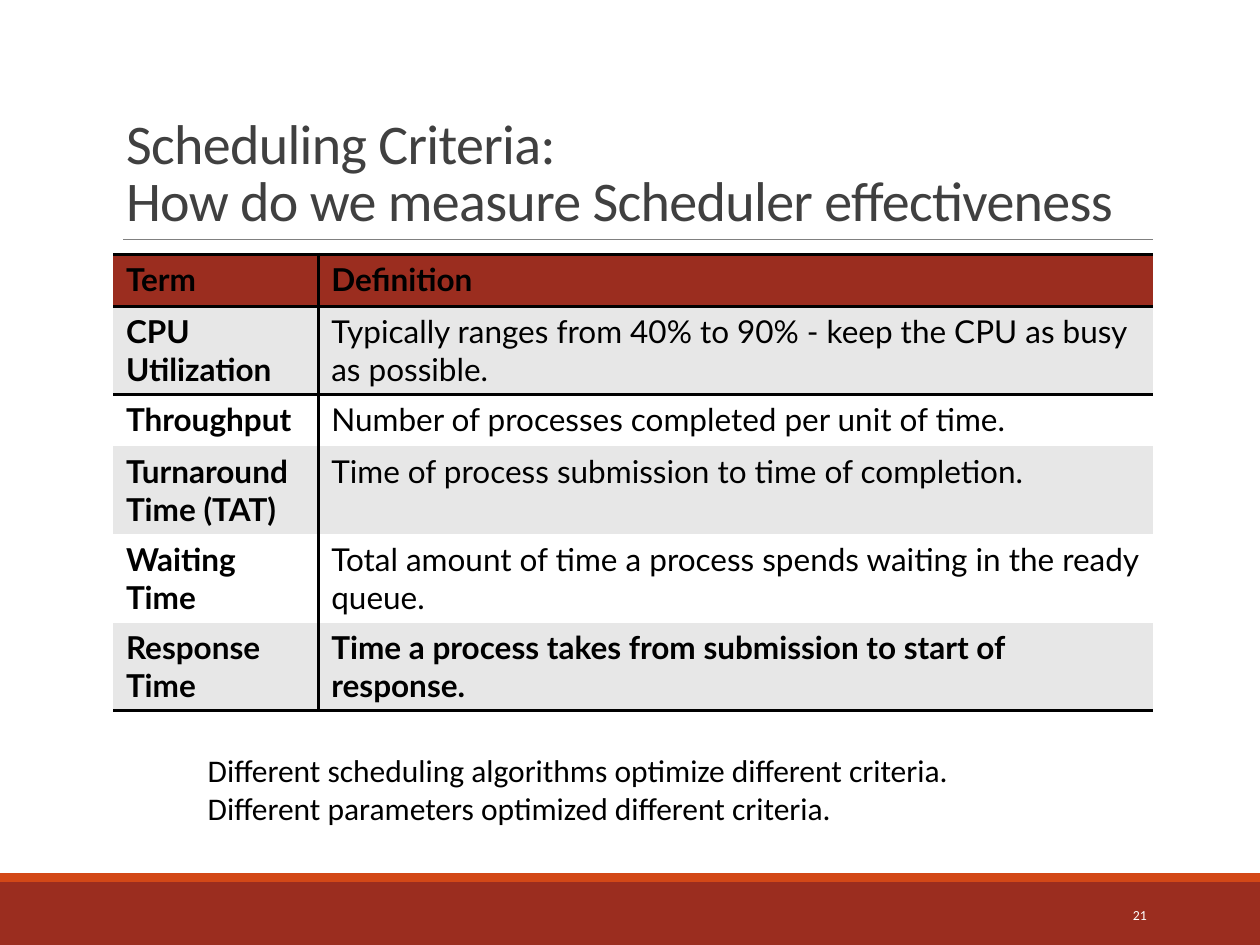
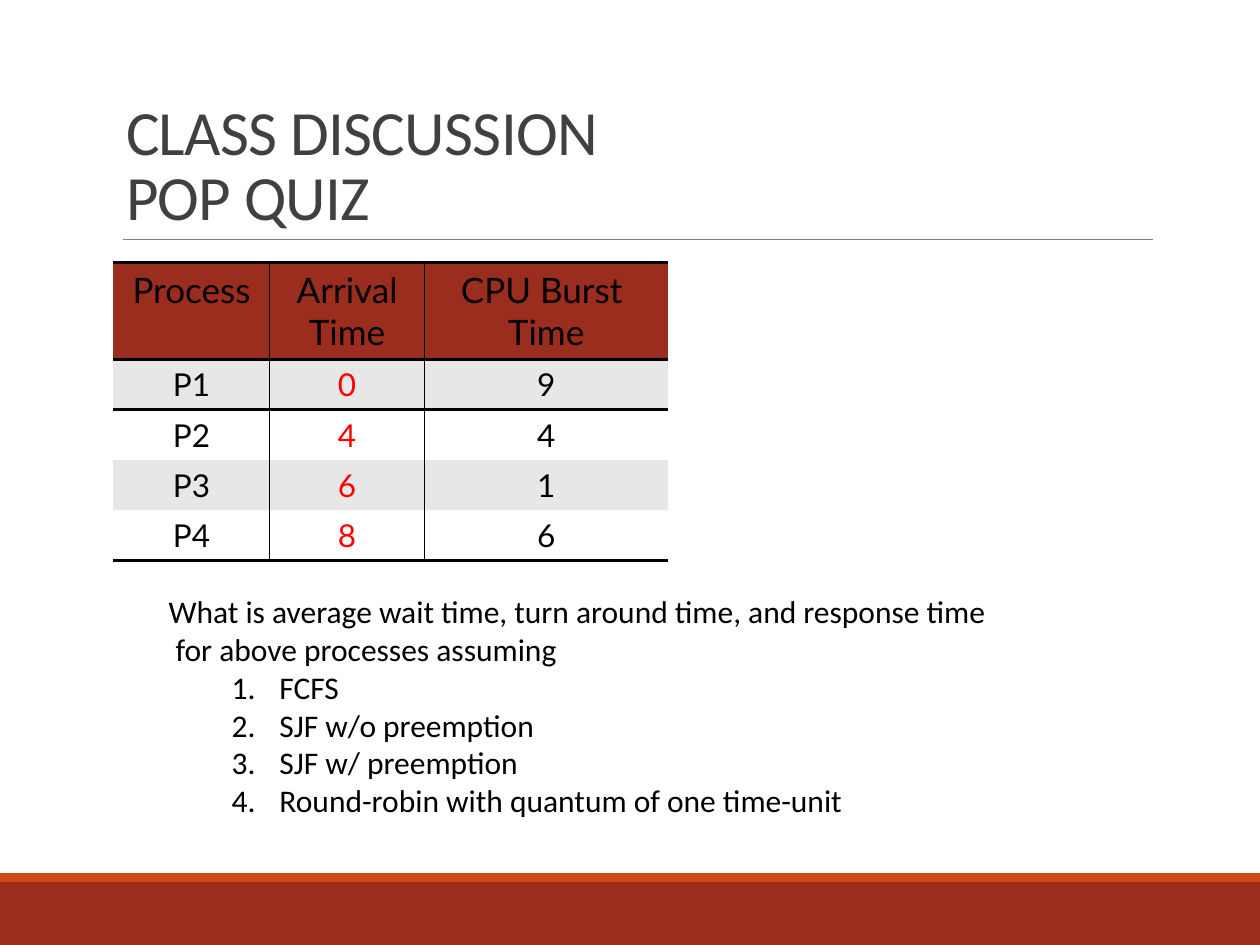
from lxml.etree import SubElement
from pptx import Presentation
from pptx.dml.color import RGBColor
from pptx.enum.shapes import MSO_CONNECTOR, MSO_SHAPE
from pptx.enum.text import MSO_ANCHOR, PP_ALIGN
from pptx.oxml.ns import qn
from pptx.util import Inches, Pt

COLORS = {
    "band": "9B2D1F", "accent": "D34817", "rule": "808080", "title": "404040",
    "text": "000000", "arrival": "FF0000", "stripe": "E7E7E7", "white": "FFFFFF",
}
BODY_FONT, TABLE_FONT = "Calibri", "Lato"
PLAIN_TABLE_STYLE = "{2D5ABB26-0587-4C30-8999-92F81FD0307C}"

CRITERIA_TITLE = "Scheduling Criteria:\vHow do we measure Scheduler effectiveness"
CRITERIA = [
    ("Term", "Definition"),
    ("CPU Utilization", "Typically ranges from 40% to 90% - keep the CPU as busy as possible."),
    ("Throughput", "Number of processes completed per unit of time."),
    ("Turnaround Time (TAT)", "Time of process submission to time of completion."),
    ("Waiting Time", "Total amount of time a process spends waiting in the ready queue."),
    ("Response Time", "Time a process takes from submission to start of response."),
]
CRITERIA_NOTES = [
    "Different scheduling algorithms optimize different criteria.",
    "Different parameters optimized different criteria.",
]
CRITERIA_PAGE = "21"

QUIZ_TITLE = "CLASS DISCUSSION\vPOP QUIZ"
PROCESSES = [
    ("Process", "Arrival\nTime", "CPU Burst \nTime"),
    ("P1", "0", "9"),
    ("P2", "4", "4"),
    ("P3", "6", "1"),
    ("P4", "8", "6"),
]
QUESTION = [
    "What is average wait time, turn around time, and response time",
    " for above processes assuming",
]
ALGORITHMS = [
    "FCFS",
    "SJF w/o preemption",
    "SJF w/ preemption",
    "Round-robin with quantum of one time-unit",
]


def rgb(name):
    return RGBColor.from_string(COLORS[name])


def write_text(frame, lines, size=18, font=BODY_FONT, color="text", bold=False,
               align=PP_ALIGN.LEFT, anchor=MSO_ANCHOR.TOP, line_spacing=None,
               tracking=None, numbered_from=None):
    frame.word_wrap = True
    frame.vertical_anchor = anchor
    for index, line in enumerate(lines):
        paragraph = frame.paragraphs[0] if index == 0 else frame.add_paragraph()
        paragraph.text = line
        paragraph.alignment = align
        paragraph.line_spacing = line_spacing
        for run in paragraph.runs:
            run.font.size = Pt(size)
            run.font.name = font
            run.font.bold = bold
            run.font.color.rgb = rgb(color)
            if tracking:
                run.font._element.set("spc", str(round(tracking * 100)))
        if numbered_from is not None and index >= numbered_from:
            paragraph.level = 1
            properties = paragraph._p.get_or_add_pPr()
            properties.set("marL", str(Inches(0.88)))
            properties.set("indent", str(Inches(-0.38)))
            SubElement(properties, qn("a:buFont"), typeface="+mj-lt")
            SubElement(properties, qn("a:buAutoNum"), type="arabicPeriod")


def add_text(slide, area, lines, **text_format):
    box = slide.shapes.add_textbox(*map(Inches, area))
    write_text(box.text_frame, lines, **text_format)


def add_band(slide, top, height, color):
    band = slide.shapes.add_shape(
        MSO_SHAPE.RECTANGLE, 0, Inches(top), Inches(10), Inches(height))
    band.shadow.inherit = False
    band.fill.solid()
    band.fill.fore_color.rgb = rgb(color)
    band.line.fill.background()


def add_titled_slide(deck, heading, size):
    slide = deck.slides.add_slide(deck.slide_layouts[5])
    add_band(slide, 7, 0.5, "band")
    add_band(slide, 6.93, 0.07, "accent")
    rule = slide.shapes.add_connector(
        MSO_CONNECTOR.STRAIGHT, Inches(0.98), Inches(1.9), Inches(9.15), Inches(1.9))
    rule.line.color.rgb = rgb("rule")
    rule.line.width = Pt(0.5)
    SubElement(rule._element.spPr, qn("a:effectLst"))
    title = slide.shapes.title
    title.left, title.top, title.width, title.height = map(Inches, (0.9, 0.31, 8.25, 1.59))
    write_text(title.text_frame, [heading], size=size, color="title",
               anchor=MSO_ANCHOR.BOTTOM, line_spacing=0.85, tracking=-0.4)
    return slide


def add_border(cell, side, width):
    line = SubElement(cell._tc.get_or_add_tcPr(), qn(f"a:ln{side}"), w=str(Pt(width)))
    fill = SubElement(line, qn("a:solidFill"))
    SubElement(fill, qn("a:srgbClr"), val=COLORS["text"])


def add_striped_table(slide, top, rows, widths, heights, divider, cell_format):
    frame = slide.shapes.add_table(
        len(rows), len(widths), Inches(0.9), Inches(top),
        Inches(sum(widths)), Inches(sum(heights)))
    table = frame.table
    table.horz_banding = False
    table._tbl.tblPr.find(qn("a:tableStyleId")).text = PLAIN_TABLE_STYLE
    for column, width in zip(table.columns, widths):
        column.width = Inches(width)
    for row, height in zip(table.rows, heights):
        row.height = Inches(height)
    last_row, last_column = len(rows) - 1, len(widths) - 1
    for r, values in enumerate(rows):
        for c, value in enumerate(values):
            cell = table.cell(r, c)
            borders = [
                ("L", divider, c > 0),
                ("R", divider, c < last_column),
                ("T", 2, r in (0, 1)),
                ("B", 2, r in (0, last_row)),
            ]
            for side, width, shown in borders:
                if shown:
                    add_border(cell, side, width)
            cell.fill.solid()
            cell.fill.fore_color.rgb = rgb("band" if r == 0 else "stripe" if r % 2 else "white")
            write_text(cell.text_frame, value.split("\n"), font=TABLE_FONT, **cell_format(r, c))


def criteria_format(row, column):
    return {"bold": column == 0 or row in (0, len(CRITERIA) - 1)}


def process_format(row, column):
    return {
        "size": 20 if row == 0 else 18,
        "color": "arrival" if row and column == 1 else "text",
        "align": PP_ALIGN.CENTER,
    }


def main():
    deck = Presentation()
    deck.slide_width, deck.slide_height = Inches(10), Inches(7.5)

    criteria = add_titled_slide(deck, CRITERIA_TITLE, 32)
    add_striped_table(criteria, 2.02, CRITERIA, (1.63, 6.62),
                      (0.41, 0.7, 0.41, 0.7, 0.7, 0.7), 2.25, criteria_format)
    add_text(criteria, (8.12, 7.06, 1.08, 0.4), [CRITERIA_PAGE], size=7.9, color="white",
             align=PP_ALIGN.RIGHT, anchor=MSO_ANCHOR.MIDDLE)
    add_text(criteria, (1.55, 5.91, 7.65, 0.71), CRITERIA_NOTES)

    quiz = add_titled_slide(deck, QUIZ_TITLE, 36)
    add_striped_table(quiz, 2.08, PROCESSES, (1.24, 1.23, 1.93),
                      [0.77] + [0.4] * 4, 1, process_format)
    add_text(quiz, (1.24, 4.65, 6.77, 1.92), QUESTION + ALGORITHMS,
             numbered_from=len(QUESTION))

    deck.save("out.pptx")


if __name__ == "__main__":
    main()
